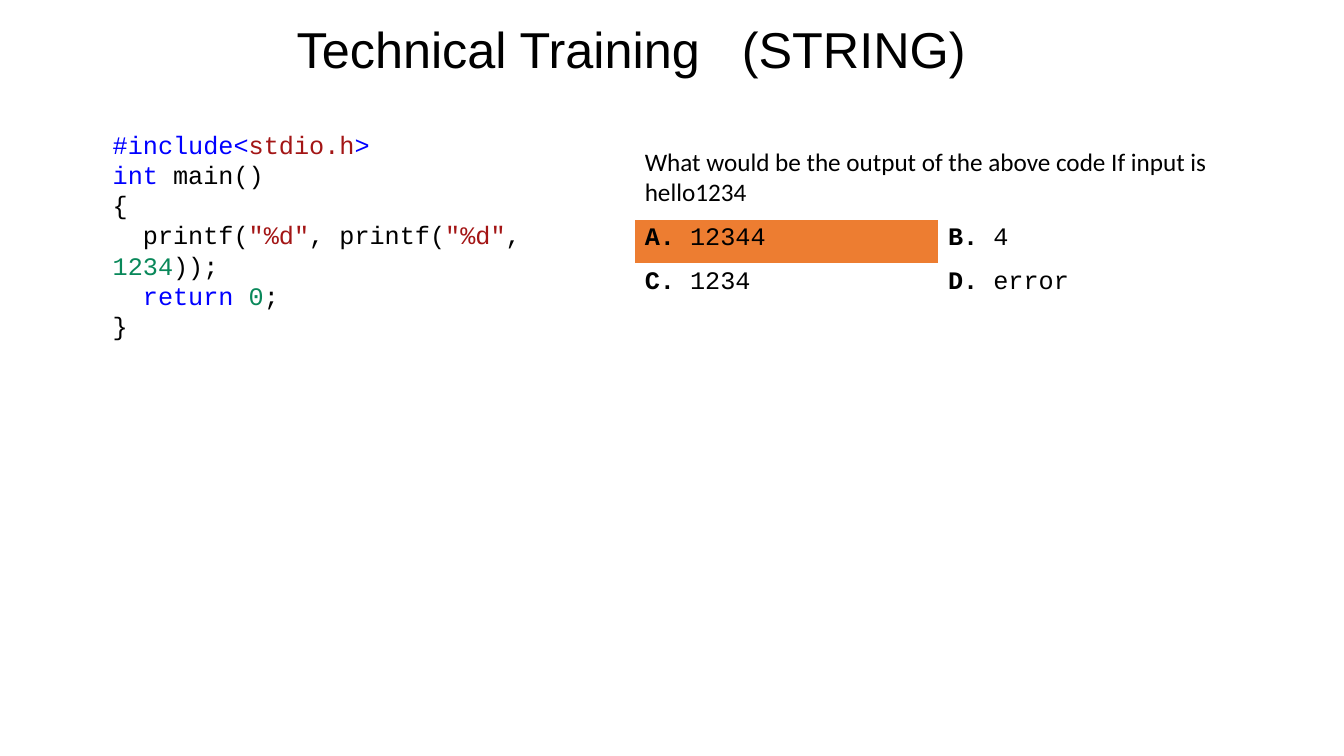
import pptx
import pptx.dml.color
import pptx.enum.text
import pptx.util

Inches = pptx.util.Inches
COLORS = {"black": "000000", "keyword": "0000FF", "string": "A31515",
          "number": "09885A", "answer": "ED7D31"}
NO_GRID_STYLE = "{2D5ABB26-0587-4C30-8999-92F81FD0307C}"


class Deck:
    """Holds the style and the current slide, and adds elements to it."""

    def __init__(self, width, height):
        self.prs = pptx.Presentation()
        self.prs.slide_width = Inches(width)
        self.prs.slide_height = Inches(height)
        self.slide = self.prs.slides.add_slide(self.prs.slide_layouts[6])

    def color(self, name):
        return pptx.dml.color.RGBColor.from_string(COLORS[name])

    def font(self, p, name, size=18):
        p.font.name = name
        p.font.size = pptx.util.Pt(size)
        p.font.color.rgb = self.color("black")

    def run(self, p, text, color="black", bold=False):
        r = p.add_run()
        r.text = text
        if color != "black":
            r.font.color.rgb = self.color(color)
        if bold:
            r.font.bold = True
        return r

    def textbox(self, left, top, width, height):
        sp = self.slide.shapes.add_textbox(*map(Inches, (left, top, width, height)))
        tf = sp.text_frame
        tf.word_wrap = True
        tf.auto_size = pptx.enum.text.MSO_AUTO_SIZE.SHAPE_TO_FIT_TEXT
        return tf

    def title(self, box, first, second):
        p = self.textbox(*box).paragraphs[0]
        p.alignment = pptx.enum.text.PP_ALIGN.CENTER
        self.font(p, "Arial", 36)
        self.run(p, first)
        gap = self.run(p, " ")
        gap.font._element.set("spc", "2000")
        self.run(p, second)

    def code(self, box, lines):
        tf = self.textbox(*box)
        for i, line in enumerate(lines):
            p = tf.add_paragraph() if i else tf.paragraphs[0]
            self.font(p, "Courier New")
            for text, color in line:
                self.run(p, text, color)

    def quiz(self, box, row_heights, question, options, answer):
        columns = len(options[0])
        frame = self.slide.shapes.add_table(len(row_heights), columns, *map(Inches, box))
        table = frame.table
        table.first_row = table.horz_banding = False
        table._tbl.tblPr[0].text = NO_GRID_STYLE
        for row, height in zip(table.rows, row_heights):
            row.height = Inches(height)
        for cell in table.iter_cells():
            cell.fill.background()
        head = table.cell(0, 0)
        head.merge(table.cell(0, columns - 1))
        p = head.text_frame.paragraphs[0]
        self.font(p, "Calibri")
        self.run(p, question)
        for i, row in enumerate(options, 1):
            for j, (letter, text) in enumerate(row):
                cell = table.cell(i, j)
                if letter == answer:
                    cell.fill.solid()
                    cell.fill.fore_color.rgb = self.color("answer")
                p = cell.text_frame.paragraphs[0]
                self.font(p, "Courier New")
                self.run(p, f"{letter}.", bold=True)
                self.run(p, f" {text}")


def main():
    deck = Deck(13.34, 7.5)
    deck.quiz((6.3, 1.41, 6.02, 1.63), (0.77, 0.43, 0.43),
              "What would be the output of the above code If input is hello1234",
              [[("A", "12344"), ("B", "4")], [("C", "1234"), ("D", "error")]], "A")
    deck.title((2.29, 0.13, 7.95, 0.7), "Technical Training", "(STRING)")
    deck.code((1.02, 1.23, 5.41, 2.5), [
        [("#include<", "keyword"), ("stdio.h", "string"), (">", "keyword")],
        [("int", "keyword"), (" main()", "black")],
        [("{", "black")],
        [("  printf(", "black"), ('"%d"', "string"), (", printf(", "black"),
         ('"%d"', "string"), (", ", "black"), ("1234", "number"), ("));", "black")],
        [("  return ", "keyword"), ("0", "number"), (";", "black")],
        [("}", "black")],
    ])
    deck.prs.save("out.pptx")


if __name__ == "__main__":
    main()
